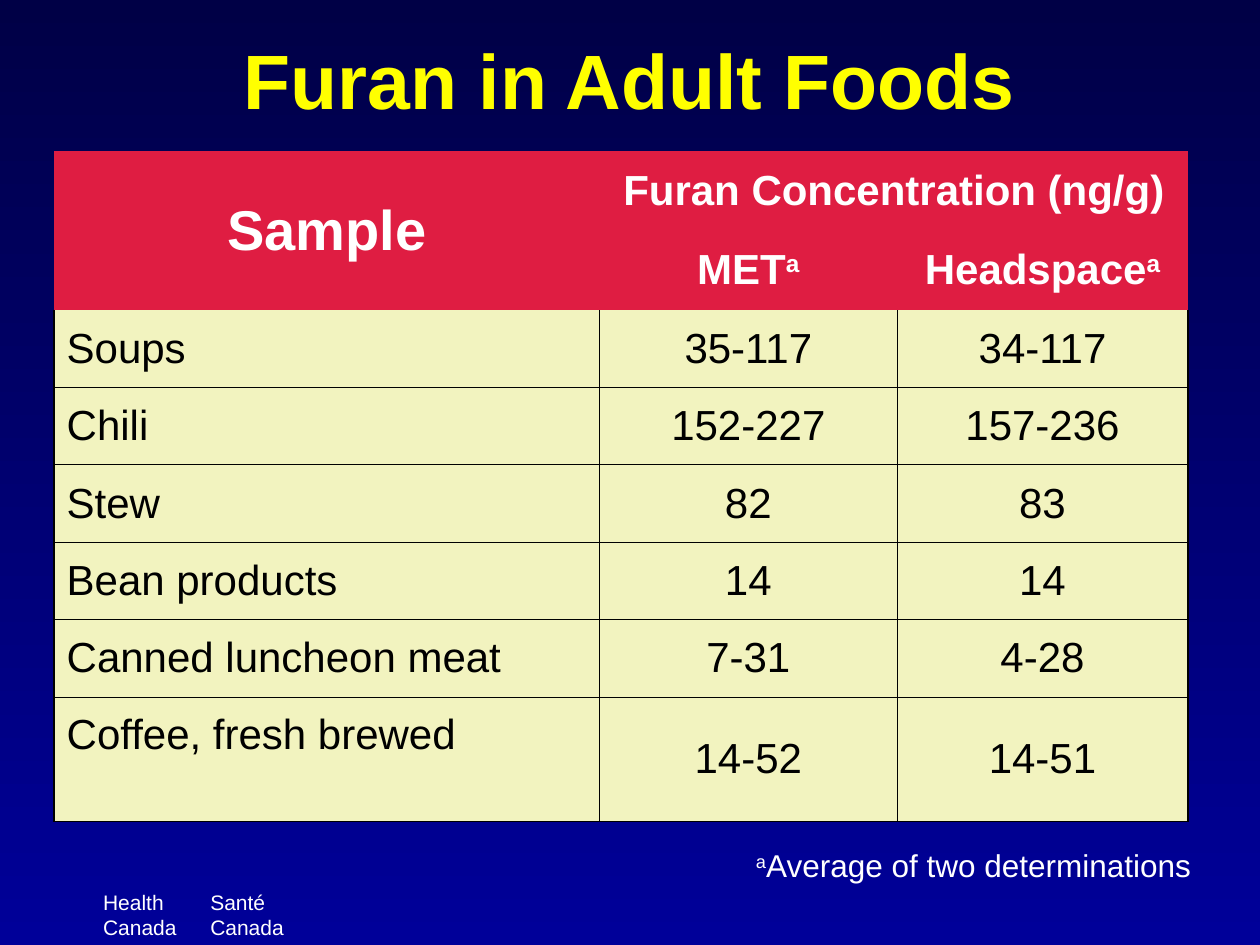
from lxml.etree import SubElement
from pptx import Presentation
from pptx.dml.color import RGBColor as Rgb
from pptx.enum.text import MSO_ANCHOR as Anchor, MSO_AUTO_SIZE as AutoSize, PP_ALIGN as Align
from pptx.oxml.ns import qn
from pptx.util import Cm, Pt

THEME = {
    "font": "Arial",
    "sky_top": "000046", "sky_bottom": "000099",
    "title": "FFFF00", "light": "FFFFFF", "ink": "000000",
    "header_fill": "DF1D42", "body_fill": "F2F3BF",
    "title_size": 44, "sample_size": 32, "table_size": 24,
    "footnote_size": 18, "agency_size": 12,
    "outer_line": 1.08, "inner_line": 0.45,
}

# Each line of text is a list of (wording, raised) pieces.
TITLE = [("Furan in Adult Foods", False)]
HEADER = [
    [[("Sample", False)], [("Furan Concentration (ng/g)", False)], None],
    [None, [("MET", False), ("a", True)], [("Headspace", False), ("a", True)]],
]
FOODS = [
    ("Soups", "35-117", "34-117"),
    ("Chili", "152-227", "157-236"),
    ("Stew", "82", "83"),
    ("Bean products", "14", "14"),
    ("Canned luncheon meat", "7-31", "4-28"),
    ("Coffee, fresh brewed", "14-52", "14-51"),
]
FOOTNOTE = [("a", True), ("Average of two determinations", False)]
AGENCY = [[("Health\tSanté", False)], [("Canada\tCanada", False)]]

COLUMN_WIDTHS = [11, 5.99, 5.87]
ROW_HEIGHTS = [1.59] * len(HEADER) + [1.56] * (len(FOODS) - 1) + [2.51]
TABLE_LEFT, TABLE_TOP = 1.09, 3.05
AGENCY_TAB = 2.16


def write(paragraph, pieces, size, color, bold=False, align=Align.LEFT):
    paragraph.alignment = align
    look = {"name": THEME["font"], "size": Pt(THEME[size]), "bold": bold}
    for wording, raised in pieces:
        run = paragraph.add_run()
        run.text = wording
        for attribute, value in look.items():
            setattr(run.font, attribute, value)
        run.font.color.rgb = Rgb.from_string(THEME[color])
        if raised:
            run._r.get_or_add_rPr().set("baseline", "30000")


def add_tab_stop(paragraph, position):
    stops = SubElement(paragraph._p.get_or_add_pPr(), qn("a:tabLst"))
    SubElement(stops, qn("a:tab"), pos=str(Cm(position)), algn="l")


def set_borders(cell, weights):
    """Draw the left, right, top and bottom lines; a weight of 0 hides one."""
    properties = cell._tc.get_or_add_tcPr()
    for side, weight in zip("LRTB", weights):
        line = SubElement(properties, qn(f"a:ln{side}"), w=str(Pt(weight)))
        if weight:
            fill = SubElement(line, qn("a:solidFill"))
            SubElement(fill, qn("a:srgbClr"), val=THEME["ink"])
        else:
            SubElement(line, qn("a:noFill"))


def fill_cell(cell, weights, color):
    set_borders(cell, weights)
    cell.fill.solid()
    cell.fill.fore_color.rgb = Rgb.from_string(THEME[color])
    cell.vertical_anchor = Anchor.MIDDLE


def add_background(slide):
    fill = slide.background.fill
    fill.gradient()
    fill.gradient_angle = 270
    for stop, color in zip(fill.gradient_stops, ("sky_top", "sky_bottom")):
        stop.color.rgb = Rgb.from_string(THEME[color])


def add_title(slide):
    title = slide.shapes.title
    place = {"left": 1.27, "top": 0, "width": 22.86, "height": 3.18}
    for attribute, value in place.items():
        setattr(title, attribute, Cm(value))
    title.text_frame.auto_size = AutoSize.NONE
    title.text_frame.vertical_anchor = Anchor.MIDDLE
    write(title.text_frame.paragraphs[0], TITLE, "title_size", "title", True, Align.CENTER)


def add_furan_table(slide):
    table = slide.shapes.add_table(
        len(ROW_HEIGHTS), len(COLUMN_WIDTHS), Cm(TABLE_LEFT), Cm(TABLE_TOP),
        Cm(sum(COLUMN_WIDTHS)), Cm(sum(ROW_HEIGHTS))).table
    table.first_row = table.horz_banding = False
    for column, width in zip(table.columns, COLUMN_WIDTHS):
        column.width = Cm(width)
    for row, height in zip(table.rows, ROW_HEIGHTS):
        row.height = Cm(height)

    for r, headings in enumerate(HEADER):
        for c, pieces in enumerate(headings):
            cell = table.cell(r, c)
            fill_cell(cell, (0, 0, 0, 0), "header_fill")
            if pieces:
                size = "table_size" if c else "sample_size"
                write(cell.text_frame.paragraphs[0], pieces, size, "light", True, Align.CENTER)
    table.cell(0, 0).merge(table.cell(1, 0))
    table.cell(0, 1).merge(table.cell(0, 2))

    outer, inner = THEME["outer_line"], THEME["inner_line"]
    last_row, last_column = len(FOODS) - 1, len(COLUMN_WIDTHS) - 1
    for r, food in enumerate(FOODS):
        for c, value in enumerate(food):
            cell = table.cell(r + len(HEADER), c)
            weights = (inner if c else outer,
                       outer if c == last_column else inner,
                       inner if r else 0,
                       outer if r == last_row else inner)
            fill_cell(cell, weights, "body_fill")
            align = Align.CENTER if c else Align.LEFT
            write(cell.text_frame.paragraphs[0], [(value, False)], "table_size", "ink", align=align)

    coffee = table.cell(len(ROW_HEIGHTS) - 1, 0)
    coffee.vertical_anchor = Anchor.TOP
    coffee.margin_top = Cm(0.3)


def add_note(slide, place, lines, size, tab=None):
    frame = slide.shapes.add_textbox(*map(Cm, place)).text_frame
    frame.word_wrap = True
    for i, pieces in enumerate(lines):
        paragraph = frame.add_paragraph() if i else frame.paragraphs[0]
        if tab:
            add_tab_stop(paragraph, tab)
        write(paragraph, pieces, size, "light")


def main():
    deck = Presentation()
    deck.slide_width, deck.slide_height = Cm(25.4), Cm(19.05)
    slide = deck.slides.add_slide(deck.slide_layouts[5])
    add_background(slide)
    add_note(slide, (1.83, 17.81, 4.4, 1.27), AGENCY, "agency_size", AGENCY_TAB)
    add_title(slide)
    add_furan_table(slide)
    add_note(slide, (14.99, 16.94, 10.36, 1.02), [FOOTNOTE], "footnote_size")
    deck.save("out.pptx")


if __name__ == "__main__":
    main()
